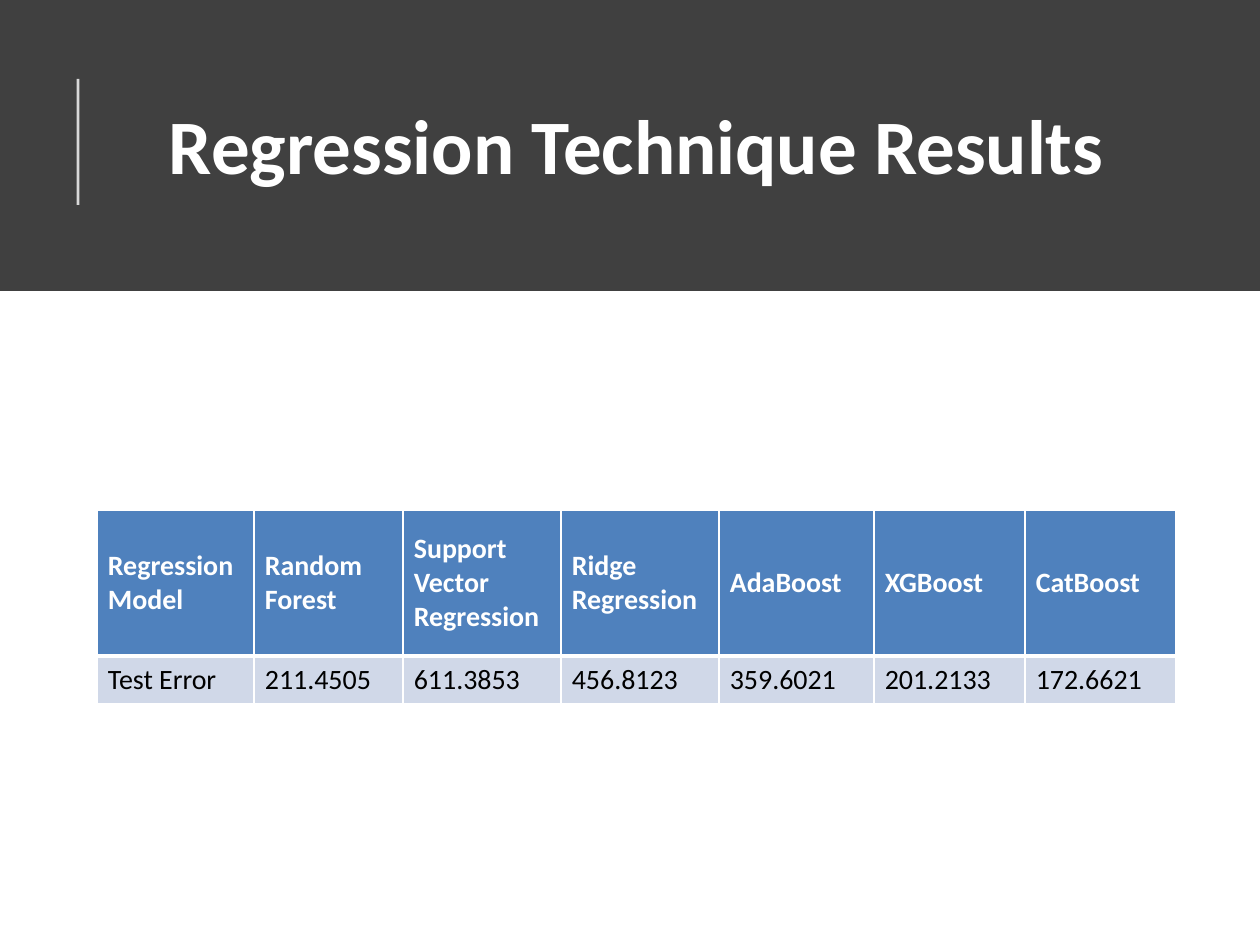
"""Build a slide with a title band and a table of regression test errors."""
import pptx
import pptx.dml.color
import pptx.enum.shapes
import pptx.enum.text
import pptx.oxml
import pptx.oxml.ns
import pptx.util

TITLE = "Regression Technique Results"
RESULTS = [
    ("Regression Model", "Test Error"),
    ("Random Forest", "211.4505"),
    ("Support Vector Regression", "611.3853"),
    ("Ridge Regression", "456.8123"),
    ("AdaBoost", "359.6021"),
    ("XGBoost", "201.2133"),
    ("CatBoost", "172.6621"),
]
COL_WIDTHS = [157, 149, 158, 158, 155, 151, 151]
ROW_HEIGHTS = [146, 48]
ROW_STYLES = [
    {"fill": "header", "text": "white", "bold": True, "T": 1, "B": 3},
    {"fill": "body", "text": "black", "bold": False, "T": 3, "B": 1},
]
COLORS = {"band": "404040", "white": "FFFFFF", "black": "000000",
          "header": "4F81BD", "body": "D0D8E8"}
FONT = "Calibri"
MIDDLE = pptx.enum.text.MSO_ANCHOR.MIDDLE


def px(n):
    return pptx.util.Emu(round(n * 914400 / 126))


def rgb(name):
    return pptx.dml.color.RGBColor.from_string(COLORS[name])


def xml(text):
    return pptx.oxml.parse_xml(text.replace(">", f" {pptx.oxml.ns.nsdecls('a')}>", 1))


def style_paragraph(p, size, color, bold):
    p.font.name = FONT
    p.font.size = pptx.util.Pt(size)
    p.font.bold = bold
    p.font.color.rgb = rgb(color)


def add_band(s):
    sp = s.shapes.add_shape(pptx.enum.shapes.MSO_SHAPE.RECTANGLE, 0, 0, px(1260), px(291))
    sp.shadow.inherit = False
    sp.fill.solid()
    sp.fill.fore_color.rgb = rgb("band")
    sp.line.fill.background()


def add_title(s):
    sp = s.shapes.add_textbox(px(97), px(52), px(1080), px(183))
    tf = sp.text_frame
    tf.word_wrap = True
    tf.vertical_anchor = MIDDLE
    p = tf.paragraphs[0]
    p.text = TITLE
    p.alignment = pptx.enum.text.PP_ALIGN.CENTER
    style_paragraph(p, 44, "white", True)


def add_accent(s):
    line = s.shapes.add_connector(
        pptx.enum.shapes.MSO_CONNECTOR.STRAIGHT, px(78), px(205), px(78), px(79))
    line.line.color.rgb = rgb("white")
    line.line.width = pptx.util.Pt(1.5)
    color = line.line._ln.find(".//" + pptx.oxml.ns.qn("a:srgbClr"))
    color.append(xml('<a:alpha val="80000"></a:alpha>'))
    line._element.spPr.append(xml("<a:effectLst></a:effectLst>"))


def add_borders(cell, style):
    tcPr = cell._tc.get_or_add_tcPr()
    for side in "LRTB":
        width = pptx.util.Pt(style.get(side, 1))
        tcPr.append(xml(f'<a:ln{side} w="{width}"><a:solidFill><a:srgbClr '
                        f'val="{COLORS["white"]}"/></a:solidFill></a:ln{side}>'))


def add_results(s):
    table = s.shapes.add_table(
        len(ROW_HEIGHTS), len(RESULTS), px(97), px(510),
        px(sum(COL_WIDTHS)), px(sum(ROW_HEIGHTS))).table
    for row, height in zip(table.rows, ROW_HEIGHTS):
        row.height = px(height)
    for c, (entries, width) in enumerate(zip(RESULTS, COL_WIDTHS)):
        table.columns[c].width = px(width)
        for r, (text, style) in enumerate(zip(entries, ROW_STYLES)):
            cell = table.cell(r, c)
            cell.text = text
            cell.vertical_anchor = MIDDLE
            cell.margin_left = cell.margin_right = px(11)
            cell.margin_top = cell.margin_bottom = px(5)
            style_paragraph(cell.text_frame.paragraphs[0], 16, style["text"], style["bold"])
            add_borders(cell, style)
            cell.fill.solid()
            cell.fill.fore_color.rgb = rgb(style["fill"])


def main():
    prs = pptx.Presentation()
    prs.slide_width, prs.slide_height = px(1260), px(945)
    s = prs.slides.add_slide(prs.slide_layouts[6])
    add_band(s)
    add_title(s)
    add_accent(s)
    add_results(s)
    prs.save("out.pptx")


if __name__ == "__main__":
    main()
